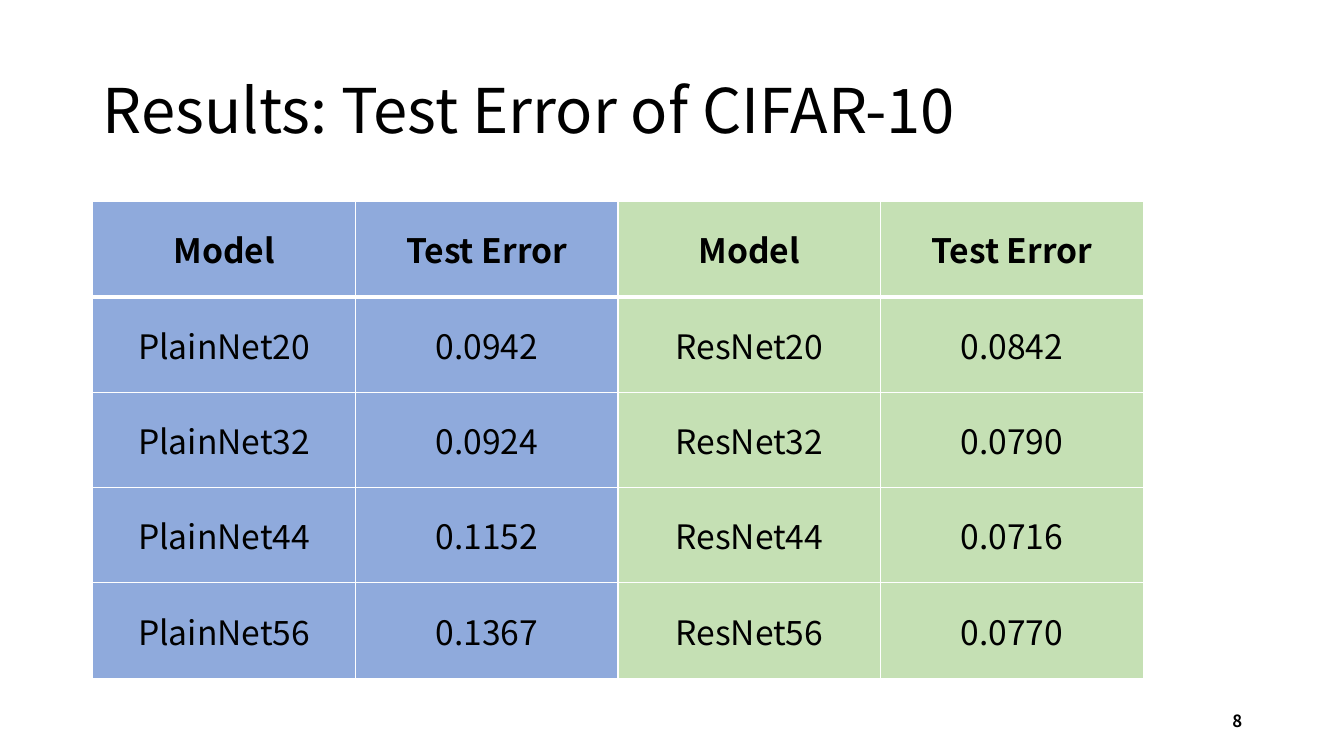
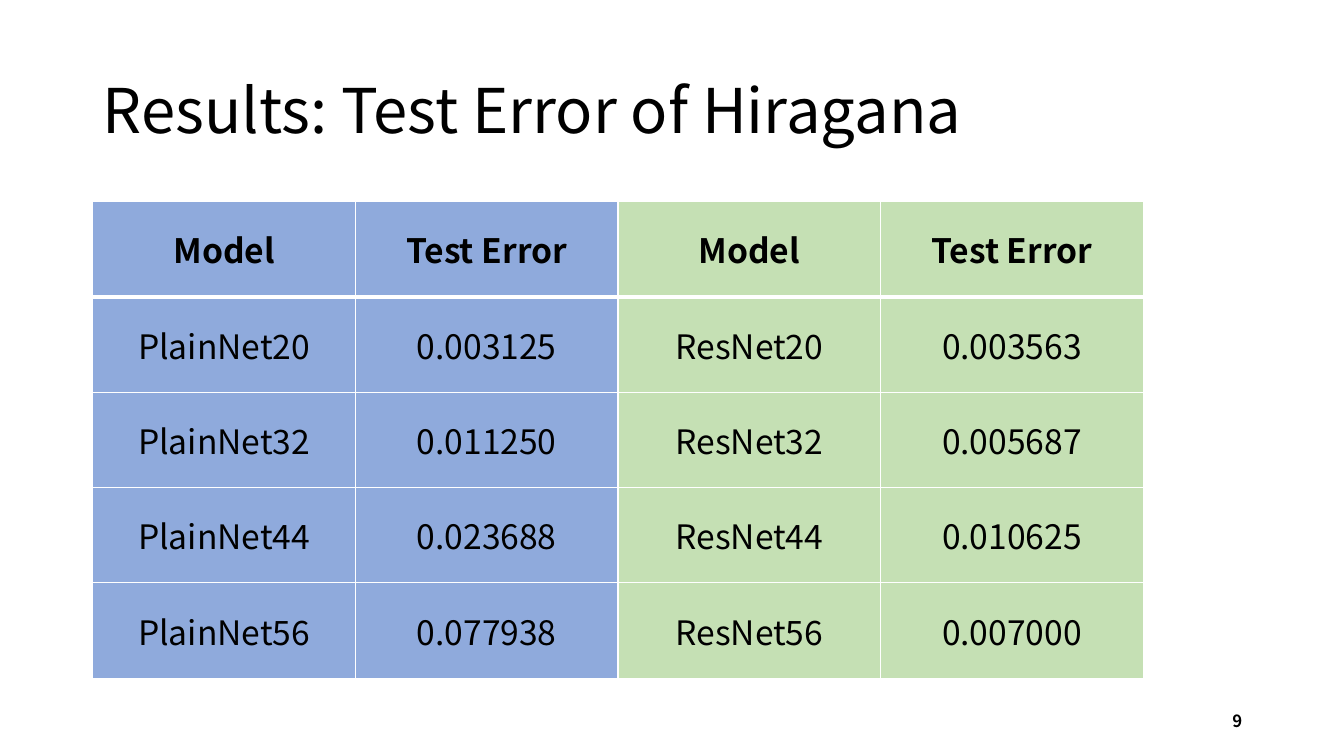
import pptx
import pptx.dml.color
import pptx.enum.text
import pptx.oxml
import pptx.oxml.ns
import pptx.util

Inches = pptx.util.Inches
Align = pptx.enum.text.PP_ALIGN
Anchor = pptx.enum.text.MSO_ANCHOR

FONT = "Noto Sans CJK JP"
BLACK, WHITE, BLUE, GREEN = "000000", "FFFFFF", "8FAADC", "C5E0B4"
COLUMN_FILLS = (BLUE, BLUE, GREEN, GREEN)
HEADER = ("Model", "Test Error") * 2
DEPTHS = (20, 32, 44, 56)

TITLE_BOX = (0.92, 0.4, 11.5, 1.45)
TABLE_BOX = (0.92, 2, 10.42, 4.73)
NUMBER_BOX = (9.42, 6.95, 3, 0.4)

RESULTS = (
    (8, "CIFAR-10",
     ("0.0942", "0.0924", "0.1152", "0.1367"),
     ("0.0842", "0.0790", "0.0716", "0.0770")),
    (9, "Hiragana",
     ("0.003125", "0.011250", "0.023688", "0.077938"),
     ("0.003563", "0.005687", "0.010625", "0.007000")),
)


def color(value):
    return pptx.dml.color.RGBColor.from_string(value)


def write(text_frame, text, size, align, bold=False):
    text_frame.word_wrap = True
    text_frame.vertical_anchor = Anchor.MIDDLE
    paragraph = text_frame.paragraphs[0]
    paragraph.alignment = align
    run = paragraph.add_run()
    run.text = text
    run.font.name = FONT
    run.font.size = pptx.util.Pt(size)
    run.font.bold = bold
    run.font.color.rgb = color(BLACK)
    return paragraph


def add_border(cell, side, width):
    line = pptx.oxml.parse_xml(
        f'<a:{side} {pptx.oxml.ns.nsdecls("a")} w="{pptx.util.Pt(width)}">'
        f'<a:solidFill><a:srgbClr val="{WHITE}"/></a:solidFill></a:{side}>'
    )
    cell._tc.get_or_add_tcPr().append(line)


def format_cell(cell, text, row, fill):
    widths = {
        "lnL": 1,
        "lnR": 1,
        "lnT": 3 if row == 1 else 1,
        "lnB": 3 if row == 0 else 1,
    }
    for side, width in widths.items():
        add_border(cell, side, width)
    cell.fill.solid()
    cell.fill.fore_color.rgb = color(fill)
    cell.vertical_anchor = Anchor.MIDDLE
    write(cell.text_frame, text, 24, Align.CENTER, bold=row == 0)


def add_title(slide, box, text):
    title = slide.shapes.title
    title.left, title.top, title.width, title.height = map(Inches, box)
    paragraph = write(title.text_frame, text, 44, Align.LEFT)
    paragraph.line_spacing = 0.9


def add_result_table(slide, box, rows):
    frame = slide.shapes.add_table(len(rows), len(HEADER), *map(Inches, box))
    table = frame.table
    table.horz_banding = False
    for row, texts in enumerate(rows):
        for column, text in enumerate(texts):
            format_cell(table.cell(row, column), text, row, COLUMN_FILLS[column])


def add_slide_number(slide, box, number):
    shape = slide.shapes.add_textbox(*map(Inches, box))
    write(shape.text_frame, str(number), 12, Align.RIGHT, bold=True)


def add_result_slide(presentation, number, dataset, plain_errors, residual_errors):
    slide = presentation.slides.add_slide(presentation.slide_layouts.get_by_name("Title Only"))
    rows = [HEADER] + [
        (f"PlainNet{depth}", plain, f"ResNet{depth}", residual)
        for depth, plain, residual in zip(DEPTHS, plain_errors, residual_errors)
    ]
    add_title(slide, TITLE_BOX, f"Results: Test Error of {dataset}")
    add_result_table(slide, TABLE_BOX, rows)
    add_slide_number(slide, NUMBER_BOX, number)


def main():
    presentation = pptx.Presentation()
    presentation.slide_width = Inches(13.33)
    presentation.slide_height = Inches(7.5)
    for result in RESULTS:
        add_result_slide(presentation, *result)
    presentation.save("out.pptx")


if __name__ == "__main__":
    main()
